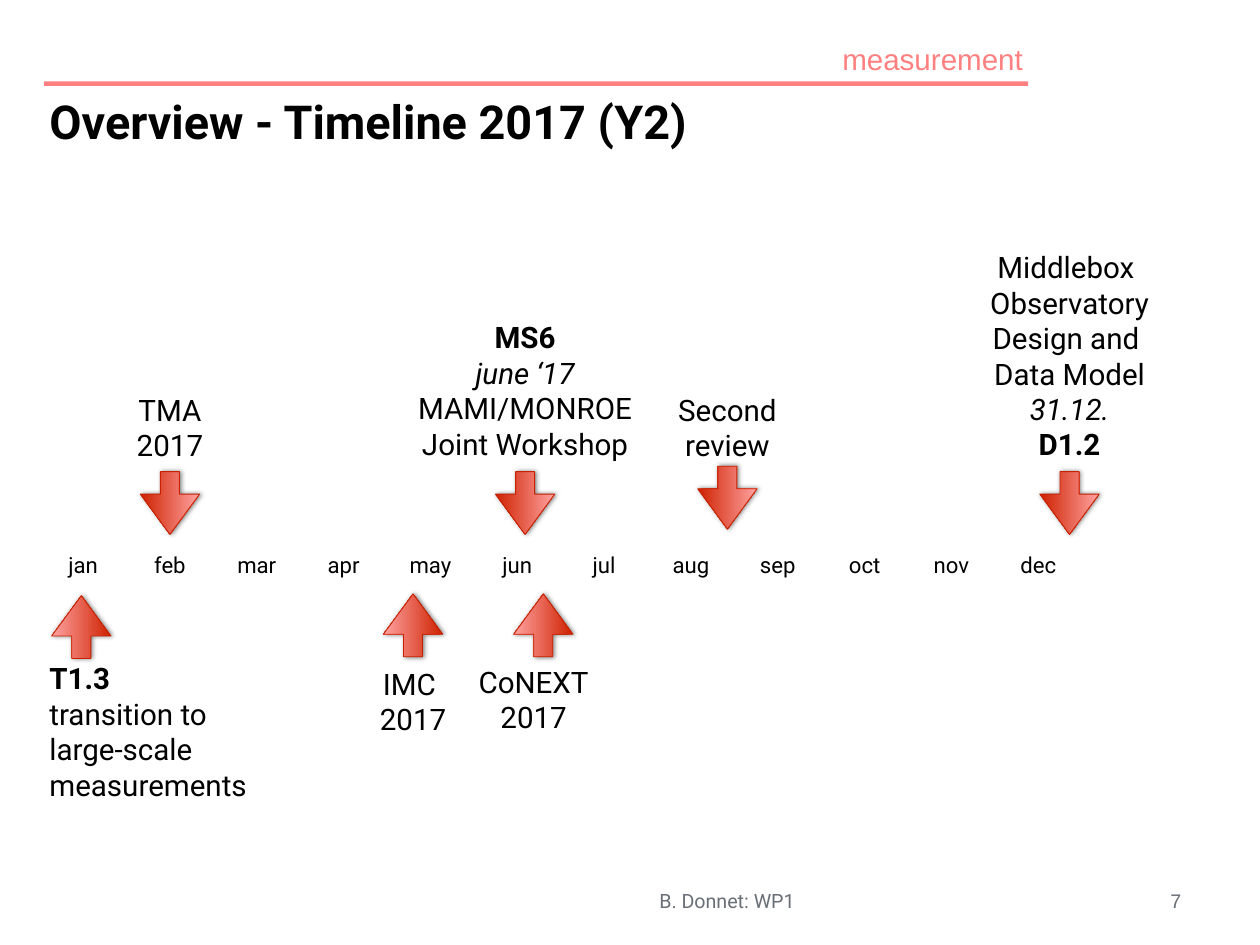
from lxml.etree import SubElement
from pptx import Presentation
from pptx.dml.color import RGBColor
from pptx.enum.shapes import MSO_SHAPE
from pptx.enum.text import MSO_ANCHOR, MSO_AUTO_SIZE, PP_ALIGN
from pptx.oxml.ns import qn
from pptx.util import Inches, Pt

COLORS = {"text": "000000", "muted": "686F76", "accent": "FF8080", "month": "FFFFFF",
          "dark": "CE2100", "light": "FFA3A1", "edge": "C82101", "shadow": "000000"}
W, H = 14.22, 10.67
MARGIN = 0.035 * W
RULE_WIDTH = 0.781 * W
COLUMN = 0.98                      # one month
MONTH_W, MONTH_H, MONTH_TOP = 0.88, 0.48, 6.13
ROW = 0.4                          # one line of event text
ARROW_W, ARROW_H = 0.71, 0.67
LEFT, CENTER, RIGHT = PP_ALIGN.LEFT, PP_ALIGN.CENTER, PP_ALIGN.RIGHT

prs = Presentation()
prs.slide_width, prs.slide_height = Inches(W), Inches(H)
slide = prs.slides.add_slide(prs.slide_layouts[6])
shapes = slide.shapes


def color(name):
    return RGBColor.from_string(COLORS[name])


def write(shape, lines, size, align=CENTER, ink="text", font="Roboto", inset=0.06,
          anchor=MSO_ANCHOR.MIDDLE, wrap=True):
    """Each line is (text, style, alignment); style holds b for bold, i for italic."""
    frame = shape.text_frame
    frame.word_wrap = wrap
    frame.auto_size = MSO_AUTO_SIZE.NONE if wrap else MSO_AUTO_SIZE.SHAPE_TO_FIT_TEXT
    frame.vertical_anchor = anchor
    frame.margin_left = frame.margin_right = Inches(inset)
    frame.margin_top = frame.margin_bottom = Inches(inset)
    for n, (text, style, own_align) in enumerate(lines):
        paragraph = frame.add_paragraph() if n else frame.paragraphs[0]
        paragraph.alignment = own_align or align
        for part, piece in enumerate(text.split("\n")):
            if part:
                paragraph.add_line_break()
            run = paragraph.add_run()
            run.text = piece
            run.font.name, run.font.size = font, Pt(size)
            run.font.bold, run.font.italic = "b" in style, "i" in style
            run.font.color.rgb = color(ink)


def box(left, top, width, height):
    return shapes.add_textbox(Inches(left), Inches(top), Inches(width), Inches(height))


# Header and footer
header_rule = shapes.add_shape(MSO_SHAPE.RECTANGLE, Inches(MARGIN), Inches(0.92),
                               Inches(RULE_WIDTH), Inches(0.05))
header_rule.shadow.inherit = False
header_rule.fill.solid()
header_rule.fill.fore_color.rgb = color("accent")
header_rule.line.fill.background()

write(box(MARGIN + RULE_WIDTH - 2.16, 0.41, 2.16, 0.51), [("measurement", "", None)], 24,
      align=RIGHT, ink="accent", font="Arial", wrap=False)
write(box(MARGIN, 0.99, 0.76 * W, 0.14 * H), [("Overview - Timeline 2017 (Y2)", "b", None)], 38,
      align=LEFT, anchor=MSO_ANCHOR.TOP)
write(box(0.267 * W, 10, 0.62 * W, 0.34), [("B. Donnet: WP1", "", None)], 16,
      ink="muted", inset=0.05)
write(box(13.15, 10, 0.24, 0.34), [("7", "", None)], 16,
      ink="muted", font="Arial", inset=0.05, wrap=False)

# Months
for n, name in enumerate("jan feb mar apr may jun jul aug sep oct nov dec".split()):
    month = shapes.add_shape(MSO_SHAPE.RECTANGLE, Inches(MARGIN + n * COLUMN), Inches(MONTH_TOP),
                             Inches(MONTH_W), Inches(MONTH_H))
    month.shadow.inherit = False
    month.fill.solid()
    month.fill.fore_color.rgb = color("month")
    month.line.fill.background()
    write(month, [(name, "", None)], 18, inset=0.04)

# Events: month column, arrow centre, arrow rotation, text edge near the arrow, width, lines
ABOVE, BELOW = 90, 270
events = [
    (11.36, 5.68, ABOVE, 5.27, 2.05, [
        ("Middlebox ", "", None), ("Observatory", "", None),
        ("Design and \nData Model", "", None), ("31.12.", "i", None), ("D1.2", "b", None)]),
    (7.42, 5.62, ABOVE, 5.28, 1.37, [("Second", "", None), ("review", "", None)]),
    (-0.02, 7.08, BELOW, 7.4, 2.42, [
        ("T1.3", "b", LEFT), ("transition to\nlarge-scale", "", LEFT),
        ("measurements", "", LEFT)]),
    (5.09, 5.68, ABOVE, 5.26, 2.68, [
        ("MS6", "b", None), ("june ‘17", "i", None),
        ("MAMI/MONROE", "", None), ("Joint Workshop", "", None)]),
    (1, 5.68, ABOVE, 5.28, 0.92, [("TMA", "", None), ("2017", "", None)]),
    (3.8, 7.06, BELOW, 7.46, 0.93, [("IMC ", "", None), ("2017", "", None)]),
    (5.3, 7.06, BELOW, 7.44, 1.58, [("CoNEXT", "", LEFT), ("2017", "", None)]),
]
for column, arrow_y, rotation, text_edge, width, lines in events:
    x = MARGIN + MONTH_W / 2 + column * COLUMN

    arrow = shapes.add_shape(MSO_SHAPE.RIGHT_ARROW, Inches(x - ARROW_W / 2),
                             Inches(arrow_y - ARROW_H / 2), Inches(ARROW_W), Inches(ARROW_H))
    arrow.rotation = rotation
    arrow.adjustments[0], arrow.adjustments[1] = 0.32, 0.68
    arrow.fill.gradient()
    arrow.fill.gradient_angle = 90
    for stop, shade in zip(arrow.fill.gradient_stops, ("dark", "light")):
        stop.color.rgb = color(shade)
    arrow.line.color.rgb = color("edge")
    arrow.line.width = Pt(0.75)

    # Soft shadow
    arrow.shadow.inherit = False
    effects = arrow.element.spPr.find(qn("a:effectLst"))
    shadow = SubElement(effects, qn("a:outerShdw"), blurRad=str(Pt(4)), dist=str(Pt(1)),
                        dir="0", rotWithShape="0")
    shadow_color = SubElement(shadow, qn("a:srgbClr"), val=COLORS["shadow"])
    SubElement(shadow_color, qn("a:alpha"), val="50000")

    # Event text
    height = ROW * sum(text.count("\n") + 1 for text, _, _ in lines) + 0.11
    top = text_edge - height if rotation == ABOVE else text_edge
    left = MARGIN if lines[-1][2] == LEFT else x - width / 2
    write(box(left, top, width, height), lines, 24, wrap=False)

prs.save("out.pptx")
